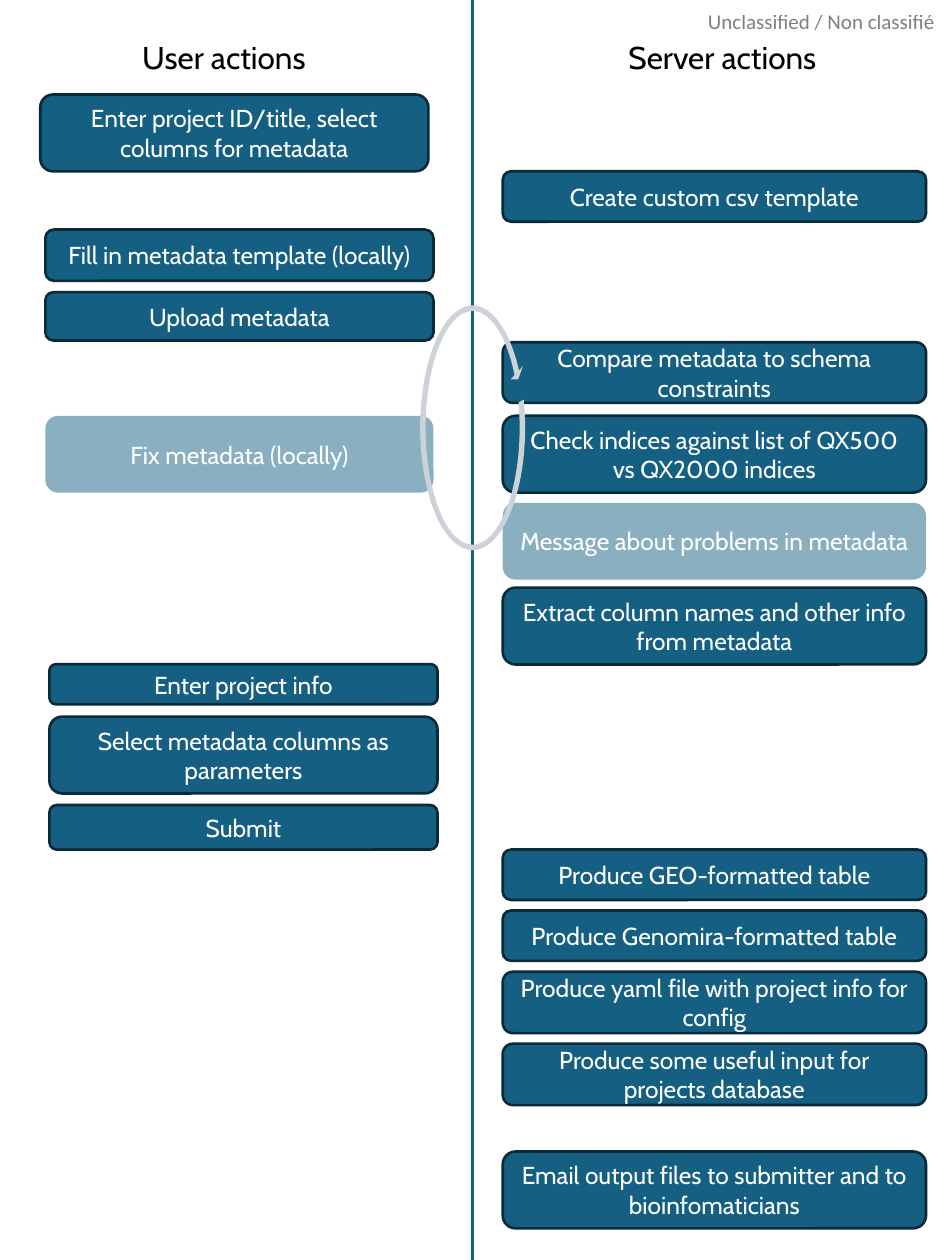
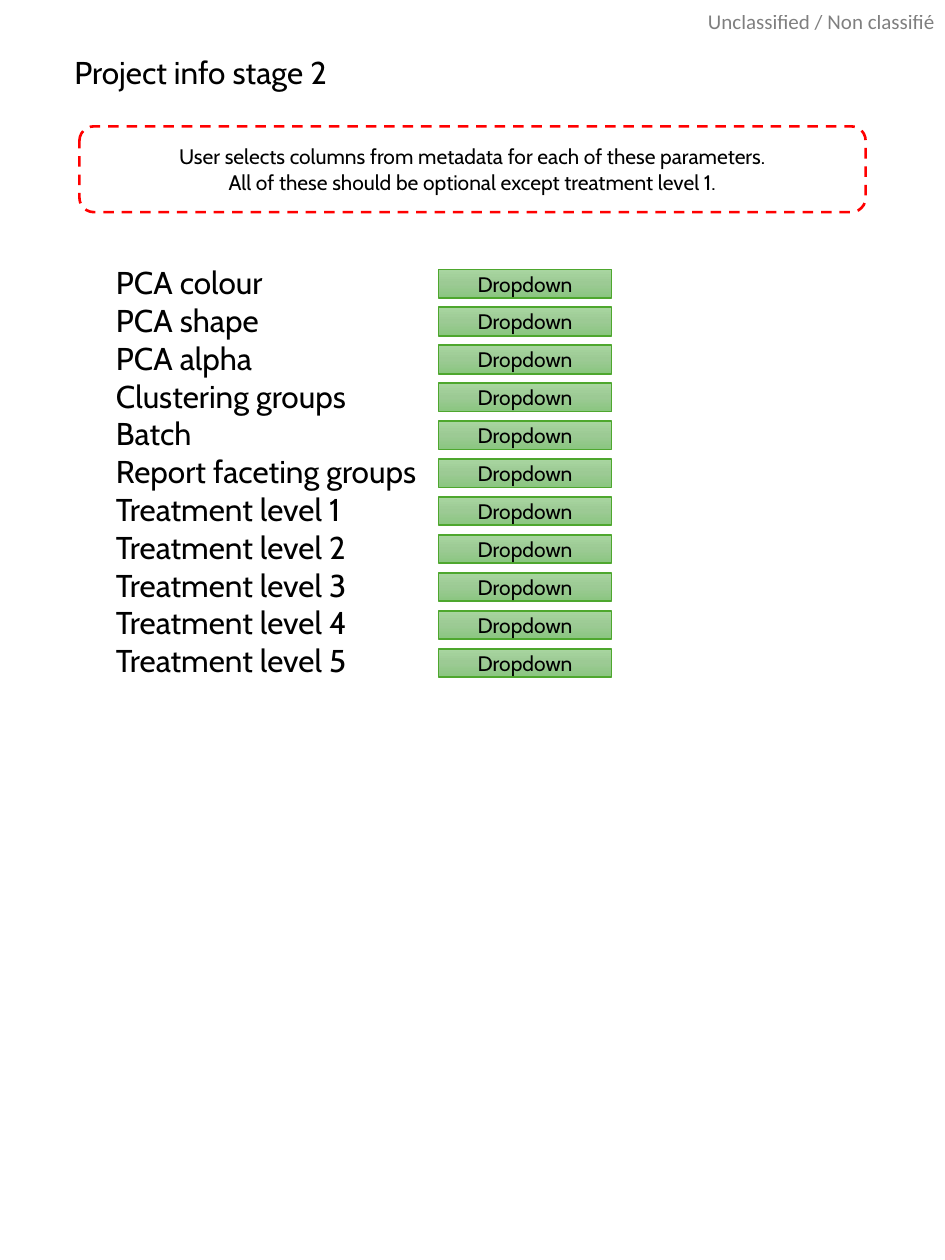
from copy import deepcopy

from lxml.etree import SubElement
from pptx import Presentation
from pptx.dml.color import RGBColor
from pptx.enum.dml import MSO_LINE
from pptx.enum.shapes import MSO_CONNECTOR, MSO_SHAPE as SHAPE
from pptx.enum.text import MSO_ANCHOR, MSO_AUTO_SIZE, PP_ALIGN
from pptx.oxml.ns import qn
from pptx.util import Pt

COLOURS = {
    "text": "000000",
    "white": "FFFFFF",
    "step": "156082",
    "step edge": "092A39",
    "loop": "CCD2D8",
    "note edge": "FF0000",
    "dropdown edge": "4EA72E",
    "dropdown top": "A8D5A0",
    "dropdown middle": "9CCA94",
    "dropdown bottom": "8AC680",
}
RGB = {name: RGBColor.from_string(code) for name, code in COLOURS.items()}


def half_transparent(properties):
    """Set the first colour inside the properties element to 50 % alpha."""
    colour = properties.find(".//" + qn("a:srgbClr"))
    SubElement(colour, qn("a:alpha")).set("val", "50000")


def add_text(slide, text, left, top, width, height, preset=None, fill=None,
             edge=None, edge_width=1.5, size=18, font="Cabin", colour="text"):
    """Add a centred preset shape, or an unwrapped text box without a preset."""
    place = Pt(left), Pt(top), Pt(width), Pt(height)
    if preset is None:
        box = slide.shapes.add_textbox(*place)
    else:
        box = slide.shapes.add_shape(preset, *place)
        box.shadow.inherit = False
        if fill:
            box.fill.solid()
            box.fill.fore_color.rgb = RGB[fill]
        else:
            box.fill.background()
        if edge:
            box.line.color.rgb = RGB[edge]
            box.line.width = Pt(edge_width)
        else:
            box.line.fill.background()
    frame = box.text_frame
    frame.word_wrap = preset is not None
    if preset is None:
        frame.auto_size = MSO_AUTO_SIZE.SHAPE_TO_FIT_TEXT
    else:
        frame.vertical_anchor = MSO_ANCHOR.MIDDLE
    for number, line in enumerate(text.split("\n")):
        paragraph = frame.add_paragraph() if number else frame.paragraphs[0]
        paragraph.alignment = PP_ALIGN.LEFT if preset is None else PP_ALIGN.CENTER
        run = paragraph.add_run()
        run.text = line
        run.font.name = font
        run.font.size = Pt(size)
        run.font.color.rgb = RGB[colour]
    return box


prs = Presentation()
prs.slide_width, prs.slide_height = Pt(540), Pt(720)
blank = prs.slide_layouts[6]
workflow, parameters = [prs.slides.add_slide(blank) for _ in range(2)]

# Classification mark on every slide
for slide in (workflow, parameters):
    mark = add_text(slide, "Unclassified / Non classifié", 404.6, 5, 132.5, 14.4,
                    size=12, font="Calibri")
    frame = mark.text_frame
    frame.margin_left = frame.margin_right = frame.margin_top = frame.margin_bottom = 0
    frame.word_wrap = True
    half_transparent(frame.paragraphs[0].runs[0].font._element)

# Slide 1: user and server workflow
add_text(workflow, "User actions", 74.2, 18, 113, 29)
add_text(workflow, "Server actions", 352, 18, 126, 29)

divider = workflow.shapes.add_connector(
    MSO_CONNECTOR.STRAIGHT, Pt(270), Pt(0), Pt(270), Pt(720))
divider.line.color.rgb = RGB["step"]
divider.line.width = Pt(1.5)
SubElement(divider._element.spPr, qn("a:effectLst"))

USER_WIDTH, SERVER_LEFT, SERVER_WIDTH = 221.8, 287.3, 241.9
user_steps = [  # left, top, height, text
    (23, 54, 43.9, "Enter project ID/title, select columns for metadata"),
    (25.9, 131.2, 29.3, "Fill in metadata template (locally)"),
    (25.9, 167, 27.6, "Upload metadata"),
    (25.9, 237.6, 43.9, "Fix metadata (locally)"),
    (28.2, 379.5, 23, "Enter project info"),
    (28.2, 409.5, 43.9, "Select metadata columns as parameters"),
    (28.2, 460, 25.5, "Submit"),
]
server_steps = [  # top, height, text
    (97.9, 28.8, "Create custom csv template"),
    (195.6, 34.6, "Compare metadata to schema constraints"),
    (237.6, 43.9, "Check indices against list of QX500 vs QX2000 indices"),
    (287.3, 43.9, "Message about problems in metadata"),
    (335.8, 43.9, "Extract column names and other info from metadata"),
    (485.5, 28.8, "Produce GEO-formatted table"),
    (520.3, 28.8, "Produce Genomira-formatted table"),
    (555.3, 35.1, "Produce yaml file with project info for config"),
    (596.4, 35.1, "Produce some useful input for projects database"),
    (658, 43.9, "Email output files to submitter and to bioinfomaticians"),
]
repair_steps = {"Fix metadata (locally)", "Message about problems in metadata"}

steps = [(left, top, USER_WIDTH, height, text)
         for left, top, height, text in user_steps]
steps += [(SERVER_LEFT, top, SERVER_WIDTH, height, text)
          for top, height, text in server_steps]
for left, top, width, height, text in steps:
    is_repair = text in repair_steps
    step = add_text(workflow, text, left, top, width, height,
                    preset=SHAPE.ROUNDED_RECTANGLE, fill="step",
                    edge=None if is_repair else "step edge",
                    size=14, colour="white")
    if is_repair:
        half_transparent(step._element.spPr)

repair_loop = workflow.shapes.add_shape(
    SHAPE.CIRCULAR_ARROW, Pt(196.6), Pt(211), Pt(146.9), Pt(67))
repair_loop.rotation = 90
for index, value in enumerate((0.047, 2.729, 131.241, 144.628, 0.076)):
    repair_loop.adjustments[index] = value
repair_loop.shadow.inherit = False
repair_loop.fill.solid()
repair_loop.fill.fore_color.rgb = RGB["loop"]
repair_loop.line.fill.background()

# Slide 2: parameter form
add_text(parameters, "Project info stage 2", 35.5, 26.8, 163, 29)

note = add_text(
    parameters,
    "User selects columns from metadata for each of these parameters.\n"
    "All of these should be optional except treatment level 1.",
    45.4, 72.2, 449.3, 49, preset=SHAPE.ROUNDED_RECTANGLE, edge="note edge", size=12)
note.line.dash_style = MSO_LINE.DASH

fields = ["PCA colour", "PCA shape", "PCA alpha", "Clustering groups", "Batch",
          "Report faceting groups"]
fields += [f"Treatment level {level}" for level in range(1, 6)]
add_text(parameters, "\n".join(fields), 59.2, 146.9, 191.5, 247)

ROW_PITCH = 21.67
gradient = [(0, "dropdown top"), (0.5, "dropdown middle"), (1, "dropdown bottom")]
for row in range(len(fields)):
    dropdown = add_text(parameters, "Dropdown", 250.6, 154 + row * ROW_PITCH, 98.9, 16.2,
                        preset=SHAPE.RECTANGLE, edge="dropdown edge", edge_width=1,
                        size=12)
    dropdown.fill.gradient()
    dropdown.fill.gradient_angle = 270
    stop_list = dropdown._element.spPr.find(".//" + qn("a:gsLst"))
    stop_list.insert(1, deepcopy(stop_list[0]))
    for stop, (position, colour) in zip(dropdown.fill.gradient_stops, gradient):
        stop.position = position
        stop.color.rgb = RGB[colour]

prs.save("out.pptx")
